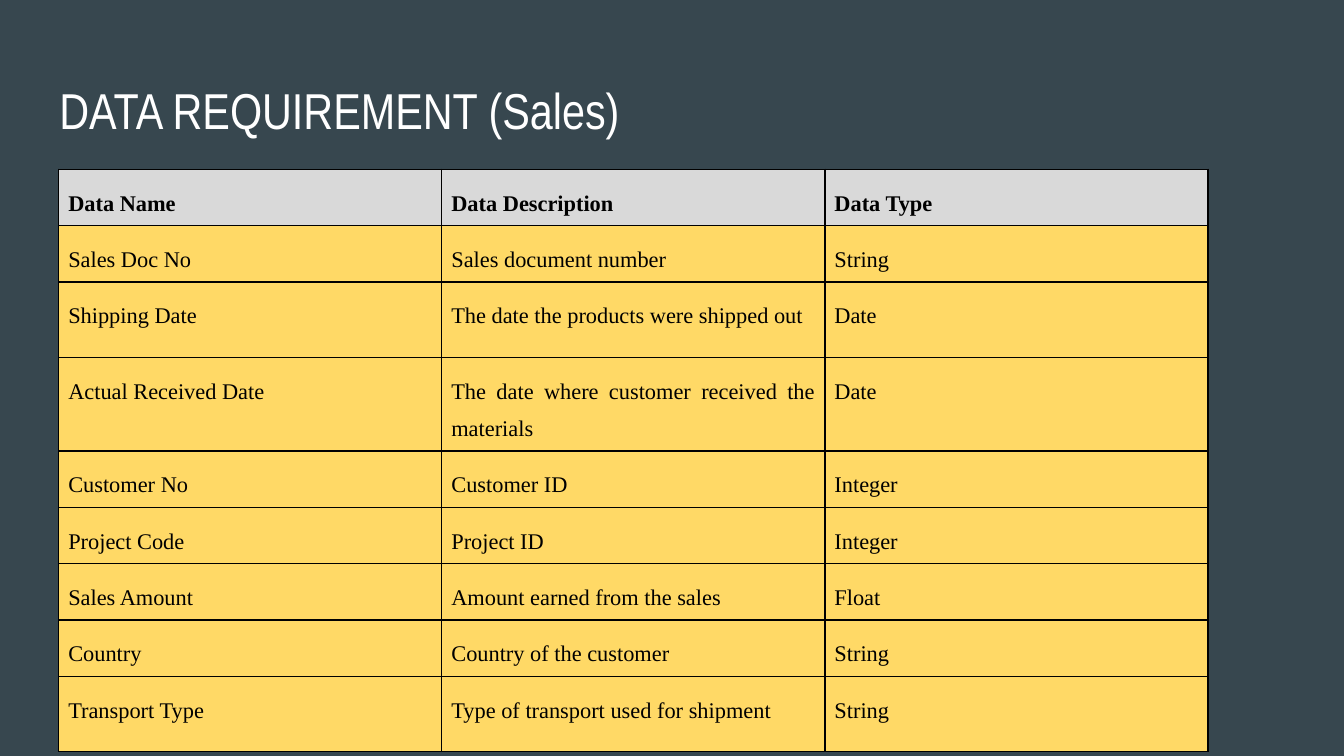
"""Build a slide that lists the data requirements for sales in a table."""
from lxml import etree
from pptx import Presentation
from pptx.dml.color import RGBColor
from pptx.enum.text import MSO_ANCHOR, PP_ALIGN
from pptx.oxml.ns import qn
from pptx.util import Cm, Pt

TOP = MSO_ANCHOR.TOP
LEFT, JUSTIFY = PP_ALIGN.LEFT, PP_ALIGN.JUSTIFY
TITLE_ONLY = 5

COLORS = {
    "background": "37474F",
    "title": "FFFFFF",
    "text": "000000",
    "border": "000000",
    "header": "D9D9D9",
    "body": "FFD966",
}
ROWS = [
    (0.76, "Data Name", "Data Description", "Data Type"),
    (0.99, "Sales Doc No", "Sales document number", "String"),
    (1.42, "Shipping Date", "The date the products were shipped out", "Date"),
    (1.42, "Actual Received Date", "The date where customer received the materials", "Date"),
    (0.76, "Customer No", "Customer ID", "Integer"),
    (0.76, "Project Code", "Project ID", "Integer"),
    (0.99, "Sales Amount", "Amount earned from the sales", "Float"),
    (0.76, "Country", "Country of the customer", "String"),
    (1.42, "Transport Type", "Type of transport used for shipment", "String"),
]
COLUMN_WIDTH = 7.24
COLUMN_COUNT = 3


def write_text(text_frame, text, *, font, size, color, bold=False, align=LEFT, spacing=1.0):
    paragraph = text_frame.paragraphs[0]
    paragraph.alignment = align
    paragraph.line_spacing = spacing
    run = paragraph.add_run()
    run.text = text
    run.font.name = font
    run.font.size = Pt(size)
    run.font.bold = bold
    run.font.color.rgb = RGBColor.from_string(COLORS[color])


def add_borders(cell, color, width):
    properties = cell._tc.get_or_add_tcPr()
    for side in ("lnL", "lnR", "lnT", "lnB"):
        line = etree.SubElement(properties, qn(f"a:{side}"), w=str(Pt(width)))
        fill = etree.SubElement(line, qn("a:solidFill"))
        etree.SubElement(fill, qn("a:srgbClr"), val=COLORS[color])


presentation = Presentation()
presentation.slide_width = Cm(25.4)
presentation.slide_height = Cm(14.29)
slide = presentation.slides.add_slide(presentation.slide_layouts[TITLE_ONLY])
slide.background.fill.solid()
slide.background.fill.fore_color.rgb = RGBColor.from_string(COLORS["background"])

title = slide.shapes.title
title.left, title.top, title.width, title.height = Cm(0.87), Cm(1.24), Cm(23.67), Cm(1.6)
title_frame = title.text_frame
title_frame.word_wrap = True
title_frame.vertical_anchor = TOP
title_frame.margin_left = title_frame.margin_right = Cm(0.25)
title_frame.margin_top = title_frame.margin_bottom = Cm(0.25)
write_text(title_frame, "DATA REQUIREMENT (Sales)", font="Arial Narrow", size=27, color="title")

table_height = sum(row[0] for row in ROWS)
table = slide.shapes.add_table(
    len(ROWS), COLUMN_COUNT, Cm(1.11), Cm(3.2), Cm(COLUMN_WIDTH * COLUMN_COUNT), Cm(table_height)
).table
for column in table.columns:
    column.width = Cm(COLUMN_WIDTH)

for row_index, (height, *texts) in enumerate(ROWS):
    is_header = row_index == 0
    table.rows[row_index].height = Cm(height)
    for column_index, text in enumerate(texts):
        cell = table.cell(row_index, column_index)
        cell.margin_left = cell.margin_right = Cm(0.18)
        cell.margin_top = cell.margin_bottom = Cm(0.18)
        add_borders(cell, "border", 0.75)
        cell.fill.solid()
        cell.fill.fore_color.rgb = RGBColor.from_string(COLORS["header" if is_header else "body"])
        write_text(cell.text_frame, text, font="Times New Roman", size=12, color="text",
                   bold=is_header, align=JUSTIFY, spacing=1.5)

presentation.save("out.pptx")
